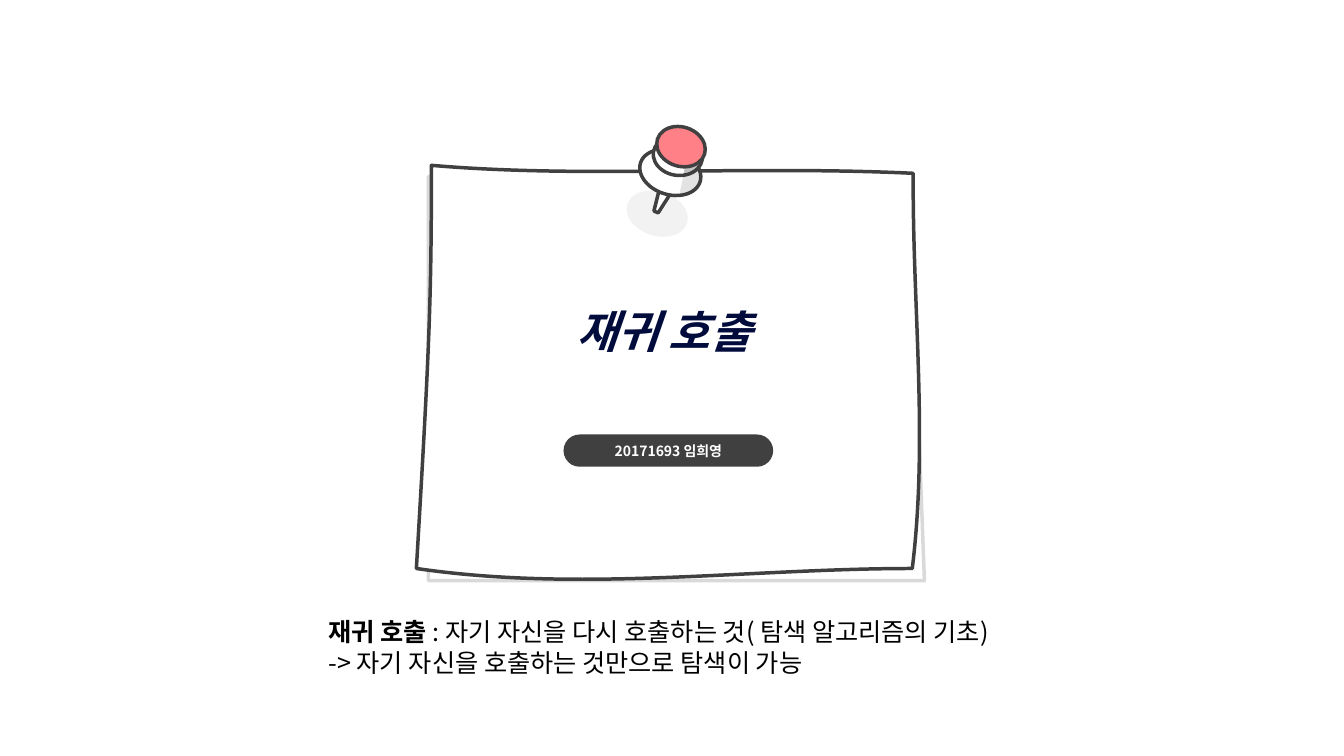
from pptx import Presentation
from pptx.dml.color import RGBColor
from pptx.enum.shapes import MSO_SHAPE
from pptx.enum.text import MSO_ANCHOR, MSO_AUTO_SIZE, PP_ALIGN
from pptx.oxml.ns import qn
from pptx.util import Inches, Pt
from lxml import etree

ELLIPSE, TRAPEZOID, PILL = MSO_SHAPE.OVAL, MSO_SHAPE.TRAPEZOID, MSO_SHAPE.ROUNDED_RECTANGLE
MIDDLE, GROW = MSO_ANCHOR.MIDDLE, MSO_AUTO_SIZE.SHAPE_TO_FIT_TEXT
LEFT, CENTER = PP_ALIGN.LEFT, PP_ALIGN.CENTER

THEME = {
    "font": "Noto Sans CJK KR",
    "paper": "FFFFFF", "ink": "404040", "edge": "D9D9D9", "shade": "000000",
    "cap": "FF8086", "title": "010B3C", "body": "000000",
    "title_size": 32, "body_size": 18, "label_size": 10, "stroke": 2.5,
}

prs = Presentation()
prs.slide_width, prs.slide_height = Inches(40 / 3), Inches(7.5)
COL, ROW = prs.slide_width / 100, prs.slide_height / 100
s = prs.slides.add_slide(prs.slide_layouts[6])


def paint(sp, fill, line=None, opacity=100):
    sp.shadow.inherit = False
    sp.fill.solid()
    sp.fill.fore_color.rgb = RGBColor.from_string(THEME[fill])
    if opacity < 100:
        color = sp.fill._xPr.find(qn("a:solidFill"))[0]
        etree.SubElement(color, qn("a:alpha"), val=str(opacity * 1000))
    if line:
        sp.line.color.rgb = RGBColor.from_string(THEME[line])
        sp.line.width = Pt(THEME["stroke"])
    else:
        sp.line.fill.background()


def write(sp, paragraphs, size, color, align, spacing=None, italic=None):
    tf = sp.text_frame
    tf.word_wrap = True
    for i, runs in enumerate(paragraphs):
        p = tf.add_paragraph() if i else tf.paragraphs[0]
        p.alignment, p.line_spacing = align, spacing
        for text, bold in runs:
            r = p.add_run()
            r.text = text
            look = {"name": THEME["font"], "size": Pt(THEME[size]), "bold": bold, "italic": italic}
            for key, value in look.items():
                setattr(r.font, key, value)
            r.font.color.rgb = RGBColor.from_string(THEME[color])
    return tf


back_sheet = [(31.88, 23.33), (67.65, 23.33), (68.78, 76.8), (31.88, 76.8)]
note = [
    (32.1, 21.87),
    (43.35, 23.6, 55.43, 21.87, 67.95, 22.93),
    (67.88, 40.4, 69.08, 57.87, 67.88, 75.2),
    (55.58, 75.2, 43.28, 78.4, 30.98, 75.2),
    (31.95, 46, 32.1, 39.73, 32.1, 21.87),
]
base_shade = [
    (51.15, 20.67), (51.45, 21.07),
    (51.9, 21.87, 52.13, 22.93, 51.98, 24),
    (51.83, 24.8, 51.45, 25.33, 51, 25.6),
    (50.55, 25.73),
]
neck_shade = [
    (51.38, 18.67), (51.75, 19.07),
    (52.05, 19.6, 52.2, 20.4, 52.13, 21.07),
    (52.05, 21.73, 51.83, 22.4, 51.45, 22.67),
    (50.85, 23.07),
]
disc, knob = (4.65, 5.87), (3.68, 5.2)

drawing = [
    (back_sheet, None, 0, ("paper", "edge", 17)),
    (note, None, 0, ("paper", "ink")),
    (ELLIPSE, (46.58, 25.33, *disc), 17.7, ("shade", None, 5)),
    (TRAPEZOID, (48.75, 22.4, 1.43, 5.87), 203.3, ("paper", "ink")),
    (ELLIPSE, (47.55, 19.87, *disc), 17.7, ("paper", "ink")),
    (base_shade, None, 0, ("shade", None, 11)),
    (ELLIPSE, (48.6, 18, *knob), 9.2, ("paper", "ink")),
    (neck_shade, None, 0, ("shade", None, 24)),
    (ELLIPSE, (48.83, 16.8, *knob), 18, ("cap", "ink")),
]
for kind, box, angle, look in drawing:
    if box:
        x, y, w, h = box
        sp = s.shapes.add_shape(kind, int(x * COL), int(y * ROW), int(w * COL), int(h * ROW))
        sp.rotation = angle
        if kind == TRAPEZOID:
            sp.adjustments[0] = 0.38
    else:
        points = [(x * COL, y * ROW) for step in kind for x, y in zip(step[::2], step[1::2])]
        builder = s.shapes.build_freeform(*points[0])
        builder.add_line_segments(points[1:], close=True)
        sp = builder.convert_to_shape()
        lines = iter(list(sp._element.iter(qn("a:lnTo"))))
        for step in kind[1:]:
            first = next(lines)
            if len(step) == 6:
                curve = etree.Element(qn("a:cubicBezTo"))
                first.addprevious(curve)
                for line in (first, next(lines), next(lines)):
                    curve.append(line[0])
                    line.getparent().remove(line)
    paint(sp, *look)

title = s.shapes.add_textbox(int(25.28 * COL), int(36 * ROW), int(48.23 * COL), int(10.67 * ROW))
tf = write(title, [[("재귀 호출", True)]], "title_size", "title", CENTER, spacing=1.5, italic=True)
tf.auto_size = GROW

label = s.shapes.add_shape(PILL, int(41.93 * COL), int(57.47 * ROW), int(15.6 * COL), int(4.27 * ROW))
label.adjustments[0] = 0.5
paint(label, "ink")
tf = write(label, [[("20171693 임희영", True)]], "label_size", "paper", CENTER)
tf.vertical_anchor = MIDDLE

caption = s.shapes.add_textbox(int(23.7 * COL), int(80.93 * ROW), int(57.83 * COL), int(9.47 * ROW))
tf = write(caption, [
    [("재귀 호출 ", True), (": 자기 자신을 다시 호출하는 것( 탐색 알고리즘의 기초)", False)],
    [("-> 자기 자신을 호출하는 것만으로 탐색이 가능", False)],
], "body_size", "body", LEFT)
tf.auto_size = GROW

prs.save("out.pptx")
